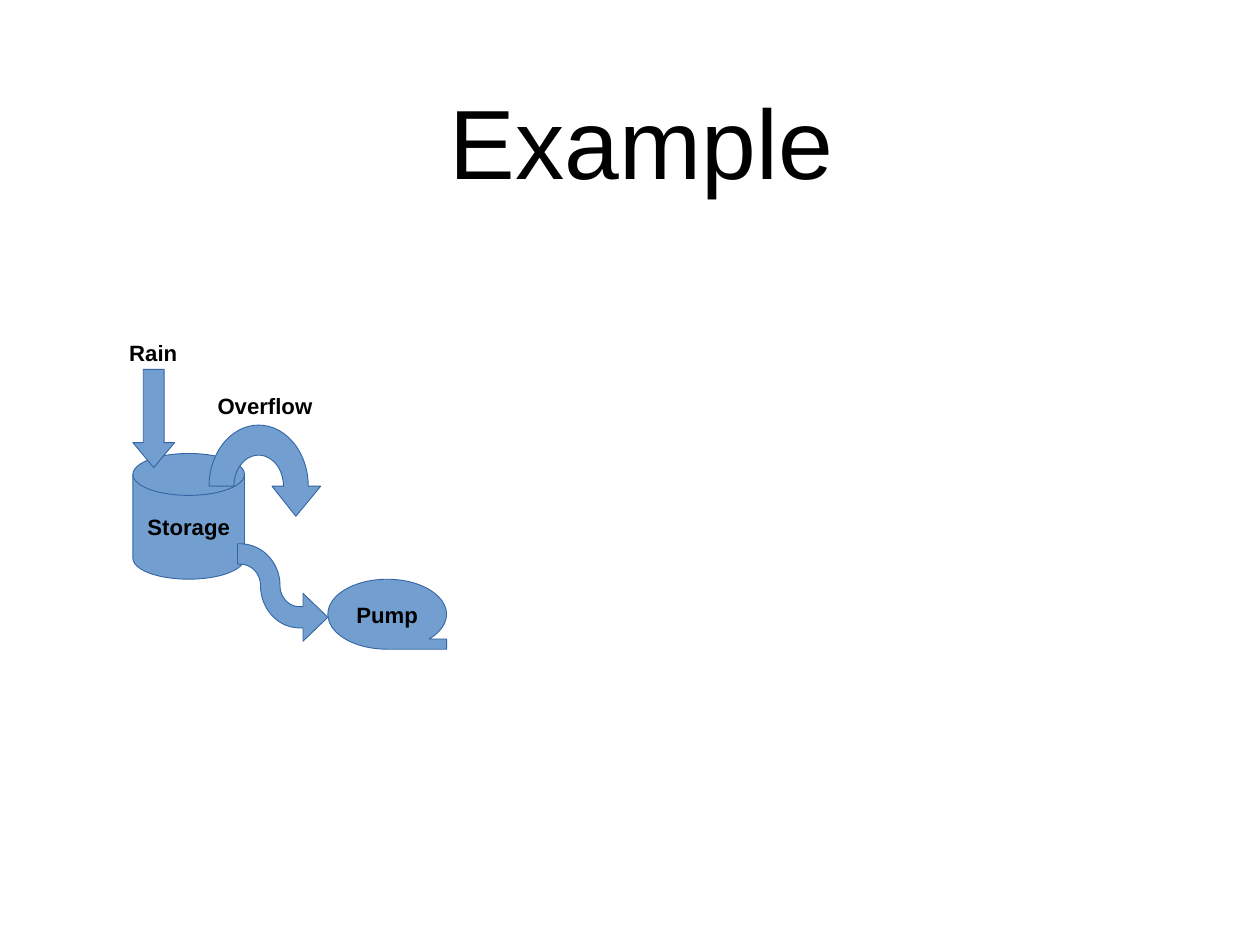
"""Build the Example slide: rain fills a storage tank that overflows and feeds a pump."""
from dataclasses import dataclass
from math import cos, radians, sin

from pptx import Presentation
from pptx.dml.color import RGBColor
from pptx.enum.shapes import MSO_SHAPE
from pptx.enum.text import MSO_ANCHOR, MSO_AUTO_SIZE, PP_ALIGN
from pptx.shapes.autoshape import Shape
from pptx.slide import Slide
from pptx.util import Pt

PX = 9144
FONT = "Arial"
COLORS = {"fill": "729FCF", "line": "3465A4", "text": "000000"}
CENTER = PP_ALIGN.CENTER
MIDDLE = MSO_ANCHOR.MIDDLE
NO_AUTOFIT = MSO_AUTO_SIZE.NONE
DISK = MSO_SHAPE.FLOWCHART_MAGNETIC_DISK
TAPE = MSO_SHAPE.FLOWCHART_SEQUENTIAL_ACCESS_STORAGE
DOWN_ARROW = MSO_SHAPE.DOWN_ARROW

Point = tuple[float, float]


@dataclass(frozen=True)
class Box:
    """A rectangle in px."""
    left: int
    top: int
    width: int
    height: int

    def emu(self) -> tuple[int, int, int, int]:
        """Return the rectangle in EMU."""
        return self.left * PX, self.top * PX, self.width * PX, self.height * PX


@dataclass(frozen=True)
class Node:
    """A preset shape of the flow, with optional text."""
    kind: MSO_SHAPE
    box: Box
    text: str = ""
    adjustments: tuple[float, ...] = ()


@dataclass(frozen=True)
class Label:
    """A caption above an arrow."""
    text: str
    box: Box


def arc(cx: int, cy: int, rx: int, ry: int, start: int, end: int) -> list[Point]:
    """Return points along an elliptical arc, with angles in degrees clockwise."""
    steps = 30
    angles = [radians(start + (end - start) * i / steps) for i in range(steps + 1)]
    return [(cx + rx * cos(a), cy + ry * sin(a)) for a in angles]


NODES = [
    Node(DISK, Box(150, 512, 126, 142), "Storage"),
    Node(TAPE, Box(370, 654, 134, 79), "Pump"),
]
RAIN_ARROW = Node(DOWN_ARROW, Box(150, 417, 47, 111), adjustments=(0.5, 0.6))
FEED_ARROW = [
    (268, 614),
    *arc(271, 661, 45, 47, -90, 0),
    *arc(338, 661, 22, 24, 180, 90),
    (342, 685), (342, 670), (370, 697), (342, 724), (342, 709),
    *arc(338, 661, 44, 48, 90, 180),
    *arc(271, 661, 23, 24, 0, -90),
    (268, 637),
]
OVERFLOW_ARROW = [
    *arc(292, 549, 28, 35, 0, -180),
    *arc(292, 549, 56, 69, -180, 0),
    (362, 549), (334, 583), (307, 549),
]
LABELS = [
    Label("Overflow", Box(219, 438, 160, 40)),
    Label("Rain", Box(123, 378, 100, 40)),
]


def color(name: str) -> RGBColor:
    """Look up a colour by its role."""
    return RGBColor.from_string(COLORS[name])


def write_text(sp: Shape, text: str, size: int, bold: bool, wrap: bool) -> None:
    """Write one centred paragraph into a shape."""
    tf = sp.text_frame
    tf.auto_size = NO_AUTOFIT
    tf.word_wrap = wrap
    tf.vertical_anchor = MIDDLE
    p = tf.paragraphs[0]
    p.text = text
    p.alignment = CENTER
    p.font.name = FONT
    p.font.size = Pt(size)
    p.font.bold = bold
    p.font.color.rgb = color("text")


def style(sp: Shape) -> None:
    """Give a shape the blue fill and thin outline."""
    sp.shadow.inherit = False
    sp.fill.solid()
    sp.fill.fore_color.rgb = color("fill")
    sp.line.color.rgb = color("line")
    sp.line.width = Pt(0.75)


def add_node(s: Slide, node: Node) -> None:
    """Draw a preset shape and its text."""
    sp = s.shapes.add_shape(node.kind, *node.box.emu())
    for i, value in enumerate(node.adjustments):
        sp.adjustments[i] = value
    style(sp)
    if node.text:
        write_text(sp, node.text, 18, True, False)


def add_outline(s: Slide, points: list[Point]) -> None:
    """Draw a closed outline through points given in px."""
    first, *rest = [(round(x * PX), round(y * PX)) for x, y in points]
    builder = s.shapes.build_freeform(*first)
    builder.add_line_segments(rest, close=True)
    style(builder.convert_to_shape())


def add_label(s: Slide, label: Label) -> None:
    """Draw a caption."""
    sp = s.shapes.add_textbox(*label.box.emu())
    write_text(sp, label.text, 18, True, True)


def main() -> None:
    """Build and save the slide."""
    prs = Presentation()
    prs.slide_width, prs.slide_height = 1422 * PX, 1067 * PX
    s = prs.slides.add_slide(prs.slide_layouts[5])
    title = s.shapes.title
    title.left, title.top, title.width, title.height = Box(117, 40, 1214, 236).emu()
    write_text(title, "Example", 80, False, True)
    for node in NODES:
        add_node(s, node)
    for points in (FEED_ARROW, OVERFLOW_ARROW):
        add_outline(s, points)
    add_node(s, RAIN_ARROW)
    for label in LABELS:
        add_label(s, label)
    prs.save("out.pptx")


if __name__ == "__main__":
    main()
